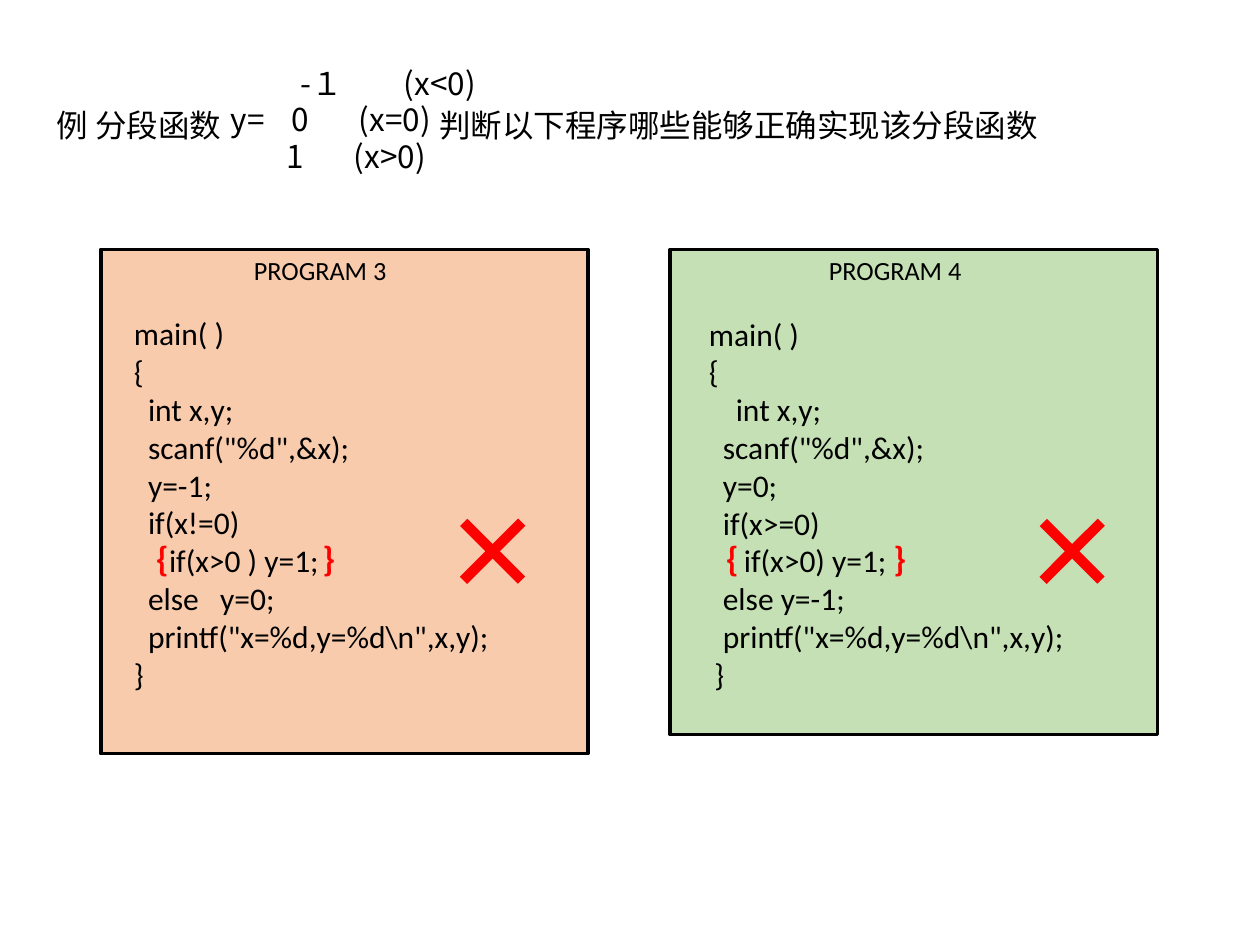
from lxml.etree import SubElement
from pptx import Presentation
from pptx.dml.color import RGBColor
from pptx.enum.shapes import MSO_SHAPE as Shape
from pptx.enum.text import MSO_ANCHOR as Anchor, MSO_AUTO_SIZE as AutoSize, PP_ALIGN as Align
from pptx.oxml.ns import qn
from pptx.util import Pt

BLACK = RGBColor(0x00, 0x00, 0x00)
RED = RGBColor(0xFF, 0x00, 0x00)
PEACH = RGBColor(0xF8, 0xCB, 0xAD)
GREEN = RGBColor(0xC5, 0xE0, 0xB4)
LATIN = "Calibri"
CHINESE = "Noto Sans CJK SC"
LINE_HEIGHT = 30.2
CASES = [
    [("-１", 164.9), ("(x<0)", 223.7)],
    [("y=", 124.9), ("0", 159.7), ("(x=0)", 198)],
    [("1", 156.9), ("(x>0)", 195.1)],
]
PROGRAM_3 = [
    (0, "main( )"), (0, "{"), (8, "int x,y;"), (8, 'scanf("%d",&x);'), (8, "y=-1;"),
    (8, "if(x!=0)"), (20, "if(x>0 ) y=1;"), (8, "else   y=0;"),
    (8, 'printf("x=%d,y=%d\\n",x,y);'), (0, "}"),
]
PROGRAM_4 = [
    (0, "main( )"), (0, "{"), (15.4, "int x,y;"), (8, 'scanf("%d",&x);'), (8, "y=0;"),
    (8, "if(x>=0)"), (20, "if(x>0) y=1;"), (8, "else y=-1;"),
    (8, 'printf("x=%d,y=%d\\n",x,y);'), (3.1, "}"),
]


def write(frame, text, first=False, font=CHINESE, size=18, color=BLACK, bold=False,
          indent=0, after=0):
    """Write one formatted paragraph into a text frame."""
    paragraph = frame.paragraphs[0] if first else frame.add_paragraph()
    paragraph.alignment = Align.LEFT
    paragraph.line_spacing = 1.0
    paragraph.space_before = Pt(0)
    paragraph.space_after = Pt(after)
    properties = paragraph._p.get_or_add_pPr()
    properties.set("marL", "0")
    properties.set("indent", str(Pt(indent)))
    run = paragraph.add_run()
    run.text = text
    run.font.name = font
    run.font.size = Pt(size)
    run.font.bold = bold
    run.font.color.rgb = color
    SubElement(run._r.get_or_add_rPr(), qn("a:ea"), typeface=font)


def prepare(frame, left=7.2, top=3.6, right=7.2):
    """Set the wrapping, anchor and insets of a text frame."""
    frame.word_wrap = True
    frame.auto_size = AutoSize.NONE
    frame.vertical_anchor = Anchor.TOP
    frame.margin_left, frame.margin_right = Pt(left), Pt(right)
    frame.margin_top = frame.margin_bottom = Pt(top)
    return frame


def add_label(slide, text, left, top, width, **style):
    """Add a single line of text."""
    label = slide.shapes.add_textbox(Pt(left), Pt(top), Pt(width), Pt(LINE_HEIGHT))
    write(prepare(label.text_frame), text, first=True, **style)


def add_heading(slide):
    """Place the heading on both sides of the function."""
    heading = slide.shapes.title
    heading.left, heading.top = Pt(25.2), Pt(56.9)
    heading.width, heading.height = Pt(112), Pt(LINE_HEIGHT)
    write(prepare(heading.text_frame), "例 分段函数", first=True)
    add_label(slide, "判断以下程序哪些能够正确实现该分段函数", 244, 56.9, 432)


def add_cases(slide):
    """Add the three cases of the piecewise function."""
    for row, parts in enumerate(CASES):
        for text, left in parts:
            add_label(slide, text, left, 32.9 + 20.9 * row, 72)


def add_program(slide, title, code, left, height, fill, base, title_indent):
    """Add a framed program listing with its title."""
    panel = slide.shapes.add_shape(Shape.RECTANGLE, Pt(left), Pt(142.6), Pt(278.6), Pt(height))
    panel.shadow.inherit = False
    panel.fill.solid()
    panel.fill.fore_color.rgb = fill
    panel.line.color.rgb = BLACK
    panel.line.width = Pt(2)
    frame = prepare(panel.text_frame, left=0, top=2.9, right=5)
    write(frame, title, first=True, font=LATIN, size=15, indent=title_indent, after=16.2)
    for level, line in code:
        write(frame, line, font=LATIN, indent=base + level)


def add_cross(slide, left):
    """Add the red cross that marks a wrong program."""
    cross = slide.shapes.add_shape(Shape.MATH_PLUS, Pt(left), Pt(283), Pt(63.4), Pt(64.1))
    cross.adjustments[0] = 0.092
    cross.rotation = 45
    cross.shadow.inherit = False
    cross.fill.solid()
    cross.fill.fore_color.rgb = RED
    cross.line.fill.background()


def main():
    """Build the slide and save it."""
    deck = Presentation()
    deck.slide_width, deck.slide_height = Pt(720), Pt(540)
    slide = deck.slides.add_slide(deck.slide_layouts[5])
    add_heading(slide)
    add_program(slide, "PROGRAM 3", PROGRAM_3, 57.6, 288, PEACH, 19, 87.5)
    add_program(slide, "PROGRAM 4", PROGRAM_4, 383, 277.2, GREEN, 22.1, 90.7)
    for cross_left, brace_left in ((249.8, 82.1), (581, 408.2)):
        add_cross(slide, cross_left)
        for brace, offset in (("{", 0), ("}", 95.8)):
            add_label(slide, brace, brace_left + offset, 305.3, 17.3, color=RED, bold=True)
    add_cases(slide)
    deck.save("out.pptx")


if __name__ == "__main__":
    main()
